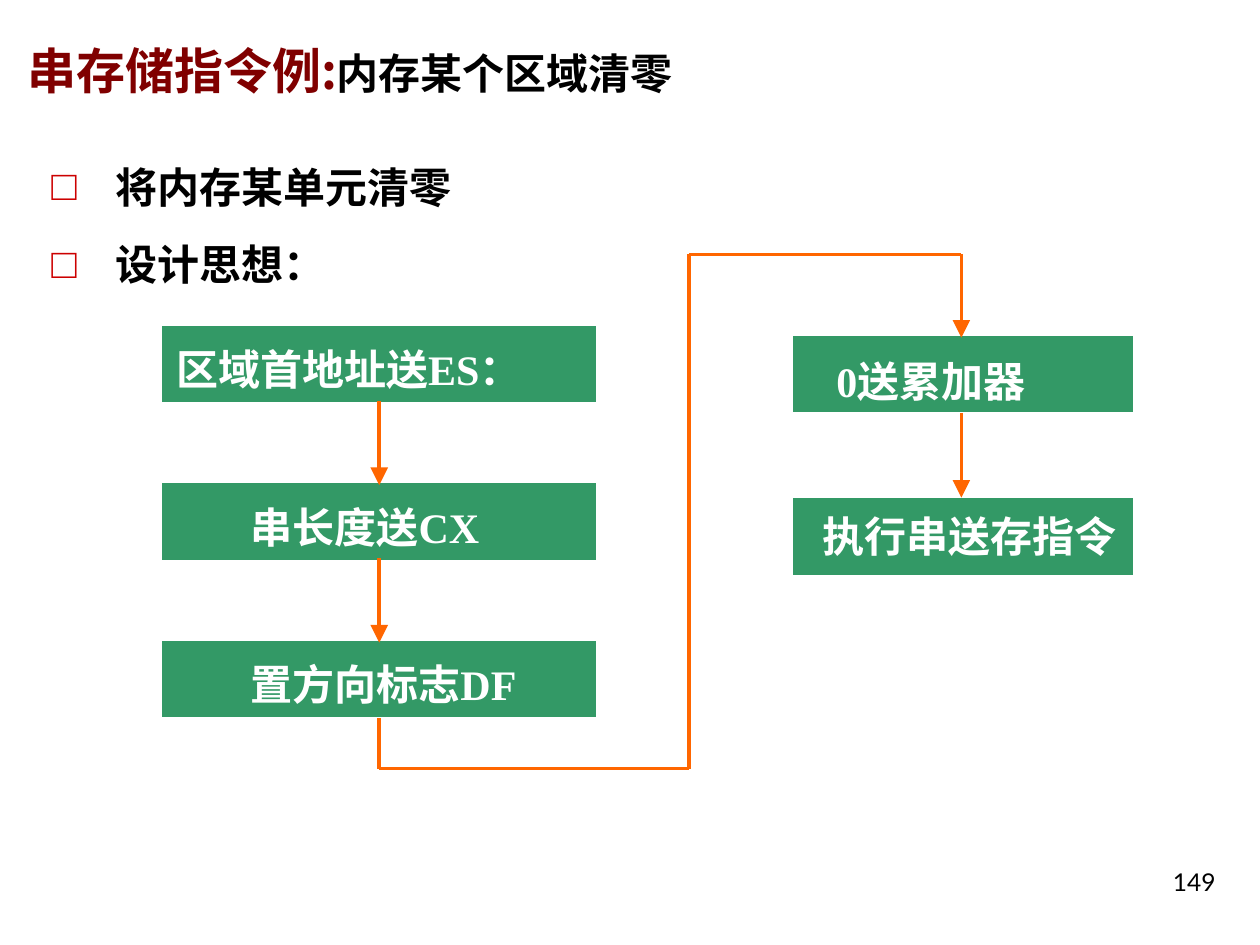
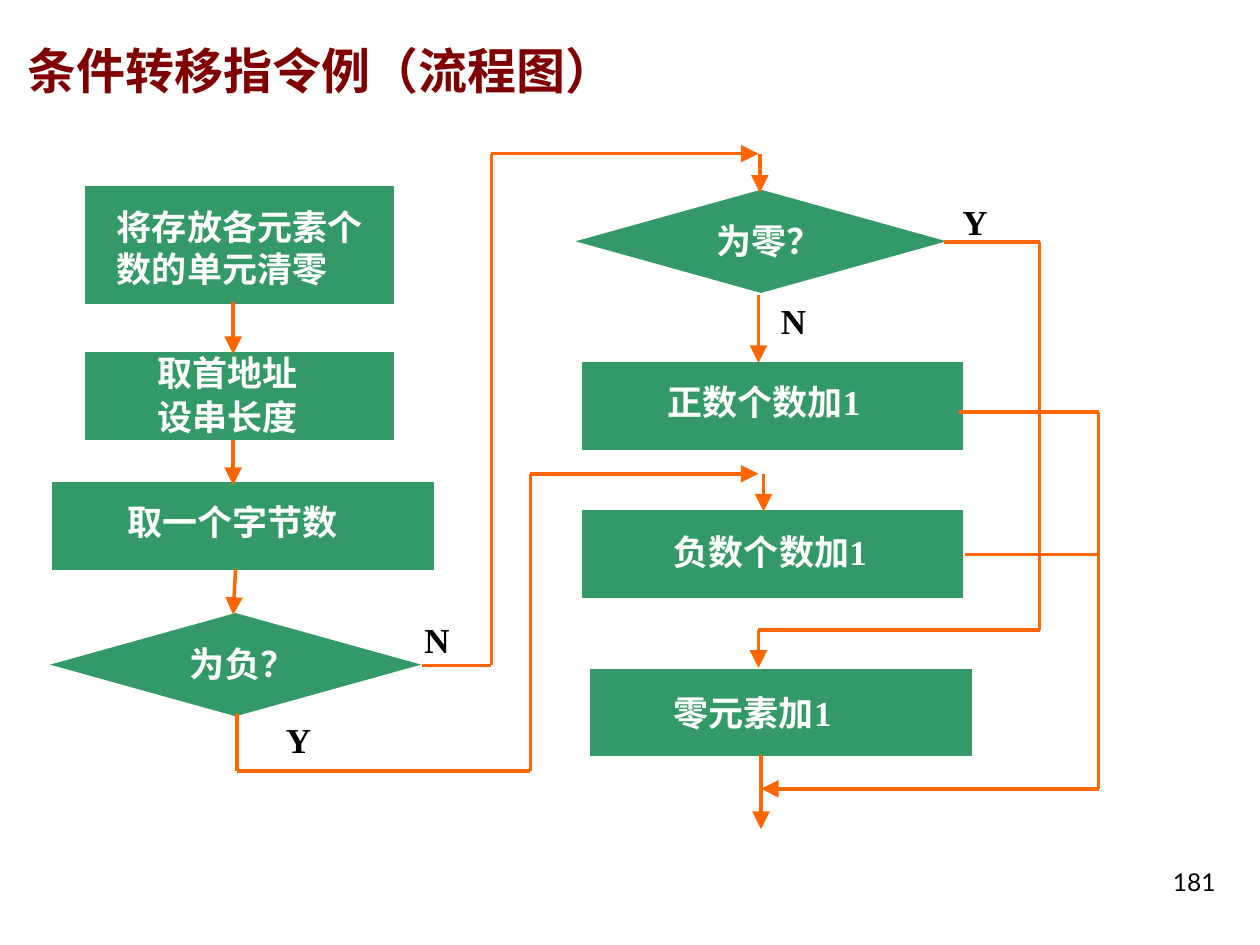
"""Build two flowchart slides about string-store and conditional-jump instructions."""
import dataclasses
import itertools
import typing

import lxml.etree
import pptx
import pptx.dml.color
import pptx.enum.shapes
import pptx.enum.text
import pptx.oxml.ns
import pptx.slide
import pptx.text.text
import pptx.util

Point = typing.Tuple[float, float]
Format = typing.Dict[str, typing.Any]

COLUMNS, ROWS = 100, 75
WIDTH, HEIGHT = pptx.util.Inches(10), pptx.util.Inches(7.5)
COLUMN, ROW = WIDTH / COLUMNS, HEIGHT / ROWS

GREEN, ORANGE, MAROON, RED = "339966", "FF6600", "800000", "CC0000"
WHITE, BLACK = "FFFFFF", "000000"
HEADING_FONT, NUMBER_FONT, DIAGRAM_FONT = "Noto Sans CJK SC", "Lato", "Times New Roman"
EAST_ASIAN_FONT = NUMBER_FONT
LINE_WIDTH = pptx.util.Pt(2)
BULLET_INDENT = round(5.1 * COLUMN)

RECTANGLE = pptx.enum.shapes.MSO_SHAPE.RECTANGLE
DECISION = pptx.enum.shapes.MSO_SHAPE.FLOWCHART_DECISION


@dataclasses.dataclass(frozen=True)
class Frame:
    """A place on the grid, in columns and rows."""
    left: float
    top: float
    width: float
    height: float

    def lengths(self) -> typing.Tuple[int, int, int, int]:
        """Return the place as slide lengths."""
        return (round(self.left * COLUMN), round(self.top * ROW),
                round(self.width * COLUMN), round(self.height * ROW))


@dataclasses.dataclass(frozen=True)
class Style:
    """The look of one span of text."""
    font: str
    size: float
    color: str
    bold: bool = True


@dataclasses.dataclass(frozen=True)
class Caption:
    """Lines of text in a box on the grid."""
    lines: typing.Tuple[str, ...]
    frame: Frame
    style: Style
    space: float = 0


@dataclasses.dataclass(frozen=True)
class Step:
    """A filled flowchart shape."""
    frame: Frame
    preset: pptx.enum.shapes.MSO_SHAPE = RECTANGLE


@dataclasses.dataclass(frozen=True)
class Route:
    """A line through grid points, with or without an arrowhead at its end."""
    points: typing.Tuple[Point, ...]
    arrow: bool = True


TITLE = Style(HEADING_FONT, 28, MAROON)
SUBTITLE = Style(HEADING_FONT, 24, BLACK)
NUMBER = Style(NUMBER_FONT, 14, BLACK, bold=False)
LARGE = Style(DIAGRAM_FONT, 24, WHITE)
SMALL = Style(DIAGRAM_FONT, 20, WHITE)
BRANCH = Style(DIAGRAM_FONT, 20, BLACK)

TITLE_FRAME = Frame(1.2, 0.9, 78.7, 7.5)
NUMBER_FRAME = Frame(92.1, 68.3, 7.9, 5.2)
BULLETS_FRAME = Frame(3.1, 10.3, 39.4, 12.6)


def rgb(value: str) -> pptx.dml.color.RGBColor:
    """Turn a hex string into a colour."""
    return pptx.dml.color.RGBColor.from_string(value)


def apply(target: typing.Any, values: Format) -> None:
    """Set each named attribute on the target."""
    for name, value in values.items():
        setattr(target, name, value)


def add_child(parent: typing.Any, tag: str, **attributes: str) -> typing.Any:
    """Append a drawing element to a parent element."""
    return lxml.etree.SubElement(parent, pptx.oxml.ns.qn(tag), **attributes)


def add_span(para: pptx.text.text._Paragraph, text: str, style: Style) -> None:
    """Add one styled span to a paragraph."""
    span = para.add_run()
    span.text = text
    apply(span.font, {"name": style.font, "size": pptx.util.Pt(style.size), "bold": style.bold})
    span.font.color.rgb = rgb(style.color)
    add_child(span.font._element, "a:ea", typeface=EAST_ASIAN_FONT)


def add_box(page: pptx.slide.Slide, frame: Frame) -> pptx.text.text.TextFrame:
    """Add an empty wrapping text box."""
    box = page.shapes.add_textbox(*frame.lengths()).text_frame
    box.word_wrap = True
    return box


def add_lines(page: pptx.slide.Slide, caption: Caption) -> typing.List[pptx.text.text._Paragraph]:
    """Add a text box with one paragraph for each line."""
    box = add_box(page, caption.frame)
    for index, line in enumerate(caption.lines):
        para = box.add_paragraph() if index else box.paragraphs[0]
        para.space_before = pptx.util.Pt(caption.space)
        add_span(para, line, caption.style)
    return list(box.paragraphs)


def add_bullets(page: pptx.slide.Slide, lines: typing.Tuple[str, ...]) -> None:
    """Add the bulleted list below the title."""
    for para in add_lines(page, Caption(lines, BULLETS_FRAME, SUBTITLE, 1.2)):
        para.line_spacing = 1.5
        properties = para._p.get_or_add_pPr()
        properties.set("marL", str(BULLET_INDENT))
        properties.set("indent", str(-BULLET_INDENT))
        add_child(add_child(properties, "a:buClr"), "a:srgbClr", val=RED)
        add_child(properties, "a:buFont", typeface=DIAGRAM_FONT)
        add_child(properties, "a:buChar", char="□")


def style_line(line: typing.Any, color: str) -> typing.Any:
    """Give a line its colour, width and sharp corners, and return its element."""
    line.color.rgb = rgb(color)
    line.width = LINE_WIDTH
    element = line._get_or_add_ln()
    add_child(element, "a:miter", lim="800000")
    return element


def add_step(page: pptx.slide.Slide, step: Step) -> None:
    """Draw one flowchart shape."""
    shape = page.shapes.add_shape(step.preset, *step.frame.lengths())
    shape.shadow.inherit = False
    shape.fill.solid()
    shape.fill.fore_color.rgb = rgb(GREEN)
    style_line(shape.line, GREEN)


def add_route(page: pptx.slide.Slide, route: Route) -> None:
    """Draw a connector for each leg of a route."""
    for start, end in itertools.pairwise(route.points):
        ends = [round(value * unit) for point in (start, end)
                for value, unit in zip(point, (COLUMN, ROW))]
        leg = page.shapes.add_connector(pptx.enum.shapes.MSO_CONNECTOR.STRAIGHT, *ends)
        element = style_line(leg.line, ORANGE)
        add_child(leg._element.spPr, "a:effectLst")
    if route.arrow:
        add_child(element, "a:tailEnd", type="triangle", w="lg", len="lg")


def add_page(deck: typing.Any, title: typing.Sequence[typing.Tuple[str, Style]],
             number: str) -> pptx.slide.Slide:
    """Add a blank page with its title and page number."""
    page = deck.slides.add_slide(deck.slide_layouts[6])
    box = add_box(page, TITLE_FRAME)
    box.vertical_anchor = pptx.enum.text.MSO_ANCHOR.BOTTOM
    for text, style in title:
        add_span(box.paragraphs[0], text, style)
    add_lines(page, Caption((number,), NUMBER_FRAME, NUMBER))
    return page


def draw_flow(page: pptx.slide.Slide, steps: typing.Sequence[Step],
              captions: typing.Sequence[Caption], routes: typing.Sequence[Route]) -> None:
    """Draw shapes, then their captions, then the lines between them."""
    for draw, items in ((add_step, steps), (add_lines, captions), (add_route, routes)):
        for item in items:
            draw(page, item)


def large(text: str, left: float, top: float, width: float) -> Caption:
    """Describe a one-line caption in the large size."""
    return Caption((text,), Frame(left, top, width, 5), LARGE)


def small(text: str, left: float, top: float, width: float, height: float = 4.3) -> Caption:
    """Describe a caption in the small size."""
    return Caption((text,), Frame(left, top, width, height), SMALL)


def branch(text: str, left: float, top: float) -> Caption:
    """Describe the label of a decision's exit."""
    return Caption((text,), Frame(left, top, 4.7, 4.3), BRANCH)


def build_store_page(deck: typing.Any) -> None:
    """Build the page on clearing a memory area."""
    page = add_page(deck, [("串存储指令例:", TITLE), ("内存某个区域清零", SUBTITLE)], "149")
    add_bullets(page, ("将内存某单元清零", "设计思想："))
    left_tops = [26 + 12.5 * index for index in range(3)]
    right_tops = [26.8, 39.7]
    steps = [Step(Frame(13, top, 34.2, 5.8)) for top in left_tops]
    steps += [Step(Frame(63.1, top, 26.7, 5.8)) for top in right_tops]
    captions = [
        large("区域首地址送ES：", 13, 26.8, 35.4),
        large("串长度送CX", 18.9, 39.3, 22.4),
        large("置方向标志DF", 18.9, 51.8, 25.7),
        large("0送累加器", 65.4, 27.7, 22.4),
        large("执行串送存指令", 64.3, 40, 25.8),
    ]
    routes = [Route(((30.1, top + 5.8), (30.1, top + 12.5))) for top in left_tops[:2]]
    routes += [
        Route(((30.1, 57), (30.1, 61), (54.7, 61), (54.7, 20.2), (76.3, 20.2), (76.3, 26.8))),
        Route(((76.3, 32.8), (76.3, 39.5))),
    ]
    draw_flow(page, steps, captions, routes)


def build_jump_page(deck: typing.Any) -> None:
    """Build the page on counting negative, positive and zero elements."""
    page = add_page(deck, [("条件转移指令例（流程图）", TITLE)], "181")
    steps = [Step(Frame(6.9, 14.9, 24.2, 9.1)), Step(Frame(6.9, 28.1, 24.2, 6.7))]
    steps += [Step(Frame(left, top, 30, 6.7))
              for left, top in ((4.3, 38.4), (46.3, 28.9), (46.3, 40.6), (47, 53.2))]
    steps += [Step(Frame(left, top, 28.4, 7.9), DECISION)
              for left, top in ((4.5, 48.8), (46.2, 15.2))]
    captions = [
        small("将存放各元素个数的单元清零", 8.3, 15.8, 22, 7.7),
        Caption(("取首地址", "设串长度"), Frame(11.5, 27.4, 16.9, 7.8), SMALL, 1),
        small("取一个字节数", 9.1, 39.2, 21.2),
        small("为负？", 14.1, 50.5, 12.3),
        small("为零？", 55.9, 16.9, 12.3),
        small("正数个数加1", 52, 29.7, 19.5),
        small("负数个数加1", 52.5, 41.6, 19.5),
        small("零元素加1", 52.5, 54.4, 16.6),
        branch("N", 32.7, 48.6),
        branch("Y", 21.7, 56.5),
        branch("N", 61, 23.3),
        branch("Y", 75.4, 15.4),
    ]
    routes = [
        Route(((18.5, 24), (18.5, 28.1))),
        Route(((18.5, 34.9), (18.5, 38.5))),
        Route(((18.7, 45.2), (18.5, 48.8))),
        Route(((33.5, 52.8), (39, 52.8), (39, 12.2), (60.2, 12.2))),
        Route(((60.3, 12.2), (60.3, 15.3))),
        Route(((18.8, 56.7), (18.8, 61.2), (42.1, 61.2), (42.1, 37.6), (60.2, 37.6))),
        Route(((60.6, 37.6), (60.6, 40.6))),
        Route(((60.2, 23.4), (60.2, 28.8))),
        Route(((74.9, 19.2), (82.5, 19.2), (82.5, 50), (60.2, 50), (60.2, 53))),
        Route(((76.1, 32.7), (87.2, 32.7), (87.2, 62.6), (60.4, 62.6))),
        Route(((76.6, 44), (87.2, 44)), arrow=False),
        Route(((60.4, 59.9), (60.4, 65.8))),
    ]
    draw_flow(page, steps, captions, routes)


def main() -> None:
    """Build both pages and save the deck."""
    deck = pptx.Presentation()
    apply(deck, {"slide_width": WIDTH, "slide_height": HEIGHT})
    build_store_page(deck)
    build_jump_page(deck)
    deck.save("out.pptx")


if __name__ == "__main__":
    main()
